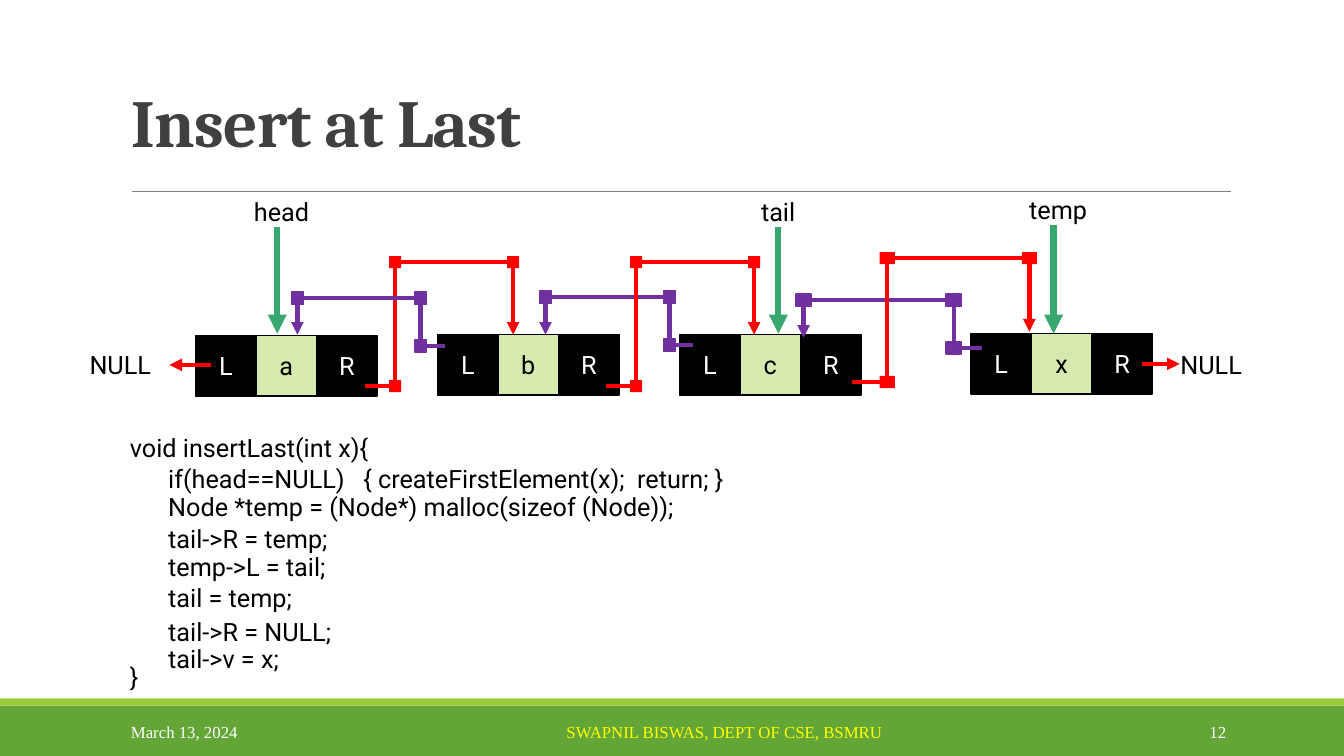
from itertools import pairwise

from lxml import etree
from pptx import Presentation
from pptx.dml.color import RGBColor
from pptx.enum.shapes import MSO_CONNECTOR as Link, MSO_SHAPE as Kind
from pptx.enum.text import MSO_ANCHOR as Anchor, PP_ALIGN as Align
from pptx.oxml.ns import qn
from pptx.util import Inches, Pt

BLACK = RGBColor(0x00, 0x00, 0x00)
WHITE = RGBColor(0xFF, 0xFF, 0xFF)
DARK = RGBColor(0x40, 0x40, 0x40)
GRAY = RGBColor(0x80, 0x80, 0x80)
RED = RGBColor(0xFF, 0x00, 0x00)
PURPLE = RGBColor(0x70, 0x30, 0xA0)
GREEN = RGBColor(0x37, 0xA7, 0x6F)
PALE = RGBColor(0xD6, 0xEA, 0xAF)
BAND = RGBColor(0x63, 0xA5, 0x37)
STRIPE = RGBColor(0x99, 0xCB, 0x38)
YELLOW = RGBColor(0xFF, 0xFF, 0x00)

# Content
TITLE = "Insert at Last"
DATE, AUTHOR, PAGE = "March 13, 2024", "SWAPNIL BISWAS, DEPT OF CSE, BSMRU", "12"
CELL = 0.6
# value, left, top
NODES = [("a", 1.94, 3.33), ("b", 4.34, 3.32), ("c", 6.74, 3.32), ("x", 9.63, 3.31)]
# name, text left, text top, arrow x
POINTERS = [("head", 2.42, 1.9, 2.75), ("tail", 7.45, 1.9, 7.72), ("temp", 10.11, 1.88, 10.45)]
# text left, arrow start, arrow end, arrow y
NULLS = [(0.79, 2.09, 1.68, 3.62), (11.61, 11.33, 11.7, 3.61)]
# colour, start x, bend x, end x, start y, top y, end y, knot width
WIRES = [
    (RED, 3.62, 3.92, 5.09, 3.83, 2.6, 3.32, 0.12),
    (PURPLE, 4.41, 4.17, 2.95, 3.43, 2.96, 3.32, 0.12),
    (PURPLE, 6.87, 6.64, 5.41, 3.42, 2.95, 3.32, 0.12),
    (PURPLE, 9.74, 9.46, 7.97, 3.45, 2.98, 3.35, 0.15),
    (RED, 6.01, 6.31, 7.48, 3.83, 2.6, 3.32, 0.12),
    (RED, 8.45, 8.8, 10.21, 3.79, 2.56, 3.29, 0.15),
]
# text, indent level, top
CODE = [
    ("void insertLast(int x){", 0, 4.24),
    ("if(head==NULL)   { createFirstElement(x);  return; }", 1, 4.55),
    ("Node *temp = (Node*) malloc(sizeof (Node));", 1, 4.83),
    ("tail->R = temp;", 1, 5.14),
    ("temp->L = tail;", 1, 5.42),
    ("tail = temp;", 1, 5.73),
    ("tail->R = NULL;", 1, 6.07),
    ("tail->v = x;", 1, 6.33),
    ("}", 0, 6.51),
]

deck = Presentation()
deck.slide_width, deck.slide_height = Inches(13.33), Inches(7.5)
slide = deck.slides.add_slide(deck.slide_layouts[6])


def style(frame, text, color, size=18, face="Roboto", align=Align.LEFT):
    frame.text = text
    par = frame.paragraphs[0]
    par.alignment = align
    font = par.runs[0].font
    font.size, font.name = Pt(size), face
    font.color.rgb = color
    return par


def box(left, top, wide, high, fill, edge=None):
    shape = slide.shapes.add_shape(
        Kind.RECTANGLE, Inches(left), Inches(top), Inches(wide), Inches(high))
    shape.shadow.inherit = False
    shape.fill.solid()
    shape.fill.fore_color.rgb = fill
    if edge is None:
        shape.line.fill.background()
    else:
        shape.line.color.rgb = edge
        shape.line.width = Pt(1.25)
    return shape


def label(text, left, top, wide, color=BLACK, high=0.4, anchor=Anchor.TOP, **look):
    area = slide.shapes.add_textbox(Inches(left), Inches(top), Inches(wide), Inches(high))
    frame = area.text_frame
    frame.word_wrap = True
    frame.vertical_anchor = anchor
    return style(frame, text, color, **look)


def line(start, end, color, width, arrow=False):
    link = slide.shapes.add_connector(Link.STRAIGHT, *map(Inches, start + end))
    link.line.color.rgb = color
    link.line.width = Pt(width)
    if arrow:
        etree.SubElement(link.line._get_or_add_ln(), qn("a:tailEnd"), type="triangle")
    etree.SubElement(link._element.spPr, qn("a:effectLst"))


# Title and rule
line((1.31, 1.9), (12.21, 1.9), GRAY, 0.5)
head = label(TITLE, 1.2, 0.06, 11, DARK, 1.59, Anchor.BOTTOM, size=48, face="Cambria")
head.line_spacing = 0.85
head.runs[0].font.bold = True
head.runs[0]._r.get_or_add_rPr().set("spc", "-50")

# Footer
box(0, 7, 13.33, 0.5, BAND)
box(0, 6.93, 13.33, 0.07, STRIPE)
small = {"size": 12, "face": "Times New Roman"}
label(DATE, 1.2, 7.06, 2.7, WHITE, anchor=Anchor.MIDDLE, **small)
label(AUTHOR, 5.52, 7.11, 3.5, YELLOW, 0.3, **small)
label(PAGE, 10.83, 7.06, 1.43, WHITE, anchor=Anchor.MIDDLE, align=Align.RIGHT, **small)

# List nodes, value cell on top
for value, left, top in NODES:
    for spot, text, fill, ink in [
            (0, "L", BLACK, WHITE), (2, "R", BLACK, WHITE), (1, value, PALE, BLACK)]:
        cell = box(left + spot * CELL, top, CELL, CELL, fill, BLACK)
        style(cell.text_frame, text, ink, align=Align.CENTER)

# Named pointers and list ends
for name, left, top, x in POINTERS:
    line((x, top + 0.35), (x, 3.31), GREEN, 4.5, True)
    label(name, left, top, 0.8)
for left, start, end, y in NULLS:
    label("NULL", left, 3.42, 0.94)
    line((start, y), (end, y), RED, 3, True)

# Wires between nodes, with a knot at each bend
for color, start, bend, end, low, high, tip, wide in WIRES:
    route = [(start, low), (bend, low), (bend, high), (end, high), (end, tip)]
    for here, there in pairwise(route):
        line(here, there, color, 3, there == route[-1])
    for x, y in route[1:-1]:
        box(x - wide / 2, y - 0.06, wide, 0.12, color, color if color == PURPLE else None)

# Code
for text, level, top in CODE:
    label(text, 1.19 + 0.38 * level, top, 5.91)

deck.save("out.pptx")
